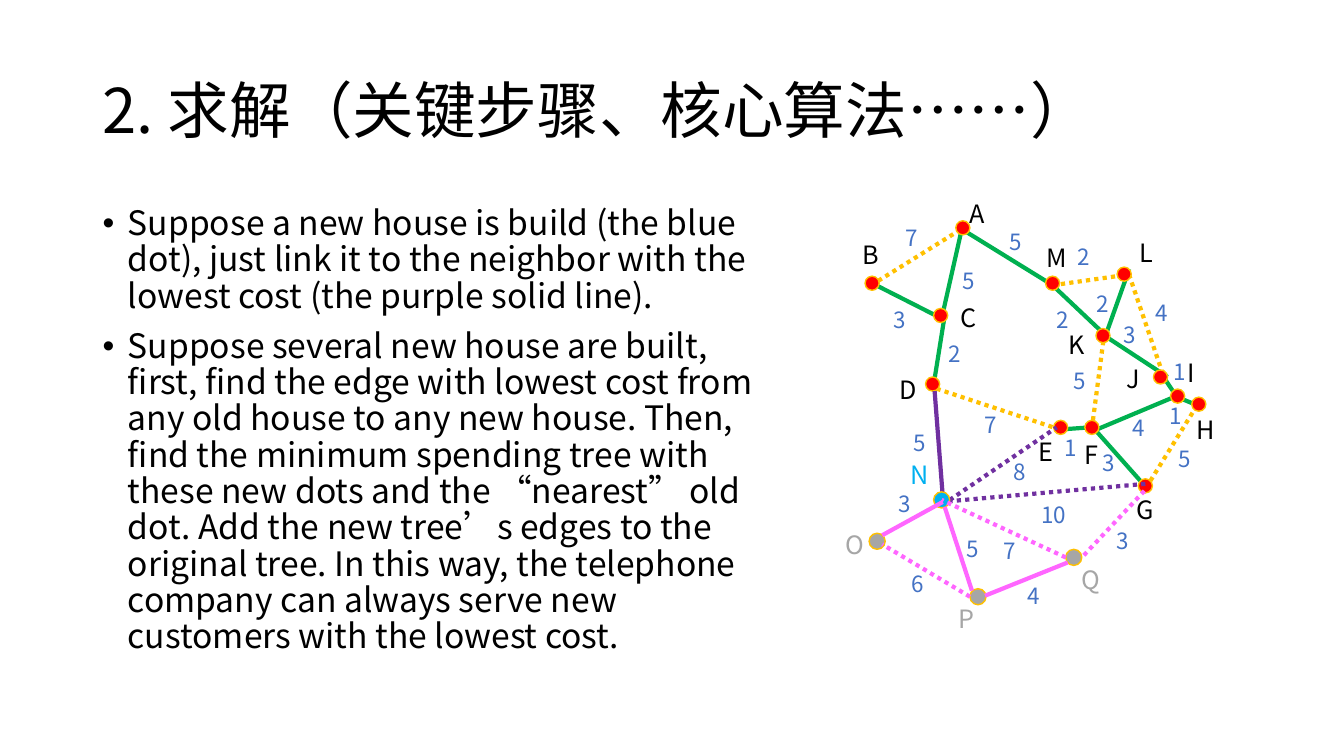
from typing import NamedTuple

from lxml import etree
from pptx import Presentation
from pptx import util as u
from pptx.dml.color import RGBColor
from pptx.enum import dml, shapes, text
from pptx.oxml.ns import qn

PX = 9144  # 100 px to the inch
FONT = "Noto Sans CJK SC"
BLACK = RGBColor(0x00, 0x00, 0x00)
GREEN = RGBColor(0x00, 0xB0, 0x50)
GOLD = RGBColor(0xFF, 0xC0, 0x00)
RED = RGBColor(0xFF, 0x00, 0x00)
BLUE = RGBColor(0x44, 0x72, 0xC4)
PURPLE = RGBColor(0x70, 0x30, 0xA0)
CYAN = RGBColor(0x00, 0xB0, 0xF0)
PINK = RGBColor(0xFF, 0x66, 0xFF)
GREY = RGBColor(0xA6, 0xA6, 0xA6)

TITLE = "2. 求解（关键步骤、核心算法……）"
BODY = [
    "Suppose a new house is build (the blue dot), just link it to the neighbor "
    "with the lowest cost (the purple solid line).",
    "Suppose several new house are built, first, find the edge with lowest cost "
    "from any old house to any new house. Then, find the minimum spending tree "
    "with these new dots and the “nearest” old dot. Add the new tree’s edges to "
    "the original tree. In this way, the telephone company can always serve new "
    "customers with the lowest cost.",
]


class House(NamedTuple):
    name: str
    x: int
    y: int
    label_x: int
    label_y: int
    label_width: int = 77


class Edge(NamedTuple):
    start: tuple[int, int]
    end: tuple[int, int]
    cost: int
    label_x: int
    label_y: int
    label_width: int = 77


class Network(NamedTuple):
    houses: list[House]
    tree: list[Edge]
    unused: list[Edge]
    dot_size: int
    dot_color: RGBColor
    name_color: RGBColor
    tree_color: RGBColor
    unused_color: RGBColor
    edges_on_top: bool = False


OLD_TOWN = Network(
    houses=[
        House("A", 948, 219, 952, 192), House("B", 858, 274, 846, 233, 31),
        House("C", 926, 306, 943, 295), House("D", 918, 374, 882, 366, 27),
        House("E", 1045, 417, 1020, 428), House("F", 1076, 417, 1066, 431, 32),
        House("G", 1129, 475, 1117, 486), House("H", 1182, 394, 1177, 406),
        House("I", 1161, 386, 1168, 350), House("J", 1144, 367, 1111, 356, 16),
        House("K", 1087, 326, 1050, 322, 30), House("L", 1108, 265, 1120, 231),
        House("M", 1037, 274, 1028, 236, 41),
    ],
    tree=[
        Edge((933, 320), (954, 227), 5, 945, 260),
        Edge((938, 318), (869, 283), 3, 876, 299),
        Edge((925, 388), (937, 313), 2, 931, 333),
        Edge((1053, 426), (1081, 424), 1, 1046, 426, 23),
        Edge((955, 228), (1049, 286), 5, 991, 221),
        Edge((1170, 398), (1152, 371), 1, 1154, 350),
        Edge((1163, 392), (1192, 404), 1, 1150, 394),
        Edge((1131, 477), (1084, 424), 3, 1084, 441, 20),
        Edge((1088, 426), (1169, 392), 4, 1113, 406),
        Edge((1099, 335), (1045, 284), 2, 1038, 299, 28),
        Edge((1120, 267), (1094, 340), 2, 1078, 283, 38),
        Edge((1158, 374), (1097, 334), 3, 1104, 314),
    ],
    unused=[
        Edge((864, 283), (954, 227), 7, 888, 217, 37),
        Edge((921, 383), (1057, 428), 7, 967, 403),
        Edge((1044, 283), (1122, 272), 2, 1059, 236),
        Edge((1156, 379), (1120, 273), 4, 1136, 292),
        Edge((1141, 477), (1188, 401), 5, 1159, 437),
        Edge((1084, 417), (1095, 333), 5, 1055, 359),
    ],
    dot_size=14, dot_color=RED, name_color=BLACK,
    tree_color=GREEN, unused_color=GOLD,
)
NEW_HOUSE = Network(
    houses=[House("N", 926, 488, 893, 451, 27)],
    tree=[Edge((927, 388), (935, 492), 5, 896, 421)],
    unused=[
        Edge((942, 496), (1048, 424), 8, 995, 450),
        Edge((1136, 480), (933, 498), 10, 1023, 492),
    ],
    dot_size=16, dot_color=CYAN, name_color=CYAN,
    tree_color=PURPLE, unused_color=PURPLE,
)
LATER_HOUSES = Network(
    houses=[
        House("O", 862, 529, 829, 520, 27), House("P", 962, 584, 941, 594, 27),
        House("Q", 1057, 545, 1063, 555, 27),
    ],
    tree=[
        Edge((935, 498), (875, 531), 3, 881, 481, 20),
        Edge((1059, 558), (977, 591), 4, 1009, 573, 20),
        Edge((937, 503), (964, 586), 5, 949, 526, 20),
    ],
    unused=[
        Edge((962, 592), (875, 540), 6, 894, 561, 20),
        Edge((1057, 553), (934, 496), 7, 985, 528, 20),
        Edge((1135, 487), (1073, 553), 3, 1098, 518, 20),
    ],
    dot_size=16, dot_color=GREY, name_color=GREY,
    tree_color=PINK, unused_color=PINK, edges_on_top=True,
)


def add_text(canvas, lines: list[str], x: int, y: int, width: int, height: int, *,
             size: int, color: RGBColor = BLACK, spacing: float = 1.0,
             middle: bool = False, bullets: bool = False, grow: bool = False) -> None:
    box = canvas.add_textbox(x * PX, y * PX, width * PX, height * PX)
    frame = box.text_frame
    frame.word_wrap = True
    frame.auto_size = (text.MSO_AUTO_SIZE.SHAPE_TO_FIT_TEXT if grow
                       else text.MSO_AUTO_SIZE.NONE)
    frame.vertical_anchor = text.MSO_ANCHOR.MIDDLE if middle else text.MSO_ANCHOR.TOP
    for index, line in enumerate(lines):
        para = frame.add_paragraph() if index else frame.paragraphs[0]
        para.line_spacing = spacing
        if index:
            para.space_before = u.Pt(10)
        if bullets:
            props = para._p.get_or_add_pPr()
            props.set("marL", str(25 * PX))
            props.set("indent", str(-25 * PX))
            etree.SubElement(props, qn("a:buFont"), typeface="Arial")
            etree.SubElement(props, qn("a:buChar"), char="•")
        span = para.add_run()
        span.text = line
        span.font.size = u.Pt(size)
        span.font.name = FONT
        span.font.color.rgb = color
        etree.SubElement(span._r.get_or_add_rPr(), qn("a:ea"), typeface=FONT)


def add_edge(canvas, edge: Edge, color: RGBColor, dotted: bool) -> None:
    line = canvas.add_connector(shapes.MSO_CONNECTOR.STRAIGHT,
                                *(value * PX for value in edge.start + edge.end))
    line.line.color.rgb = color
    line.line.width = u.Pt(3)
    if dotted:
        line.line.dash_style = dml.MSO_LINE.ROUND_DOT
    etree.SubElement(line._element.spPr, qn("a:effectLst"))


def add_dot(canvas, house: House, size: int, color: RGBColor) -> None:
    dot = canvas.add_shape(shapes.MSO_SHAPE.OVAL, house.x * PX, house.y * PX,
                           size * PX, size * PX)
    dot.shadow.inherit = False
    dot.fill.solid()
    dot.fill.fore_color.rgb = color
    dot.line.color.rgb = GOLD
    dot.line.width = u.Pt(1)


def add_network(canvas, network: Network) -> None:
    def add_dots() -> None:
        for house in network.houses:
            add_dot(canvas, house, network.dot_size, network.dot_color)

    if network.edges_on_top:
        add_dots()
    for edge in network.tree:
        add_edge(canvas, edge, network.tree_color, dotted=False)
    for edge in network.unused:
        add_edge(canvas, edge, network.unused_color, dotted=True)
    if not network.edges_on_top:
        add_dots()
    for house in network.houses:
        add_text(canvas, [house.name], house.label_x, house.label_y,
                 house.label_width, 40, size=18, color=network.name_color, grow=True)
    for edge in network.tree + network.unused:
        add_text(canvas, [str(edge.cost)], edge.label_x, edge.label_y,
                 edge.label_width, 37, size=16, color=BLUE, grow=True)


def main() -> None:
    deck = Presentation()
    deck.slide_width, deck.slide_height = 1333 * PX, 750 * PX
    page = deck.slides.add_slide(deck.slide_layouts[6])
    add_text(page.shapes, [TITLE], 92, 40, 1150, 145, size=44, spacing=0.9, middle=True)
    add_text(page.shapes, BODY, 92, 200, 693, 476, size=24, spacing=0.9, bullets=True)
    add_network(page.shapes, OLD_TOWN)
    for network in (NEW_HOUSE, LATER_HOUSES):
        add_network(page.shapes.add_group_shape().shapes, network)
    deck.save("out.pptx")


if __name__ == "__main__":
    main()
